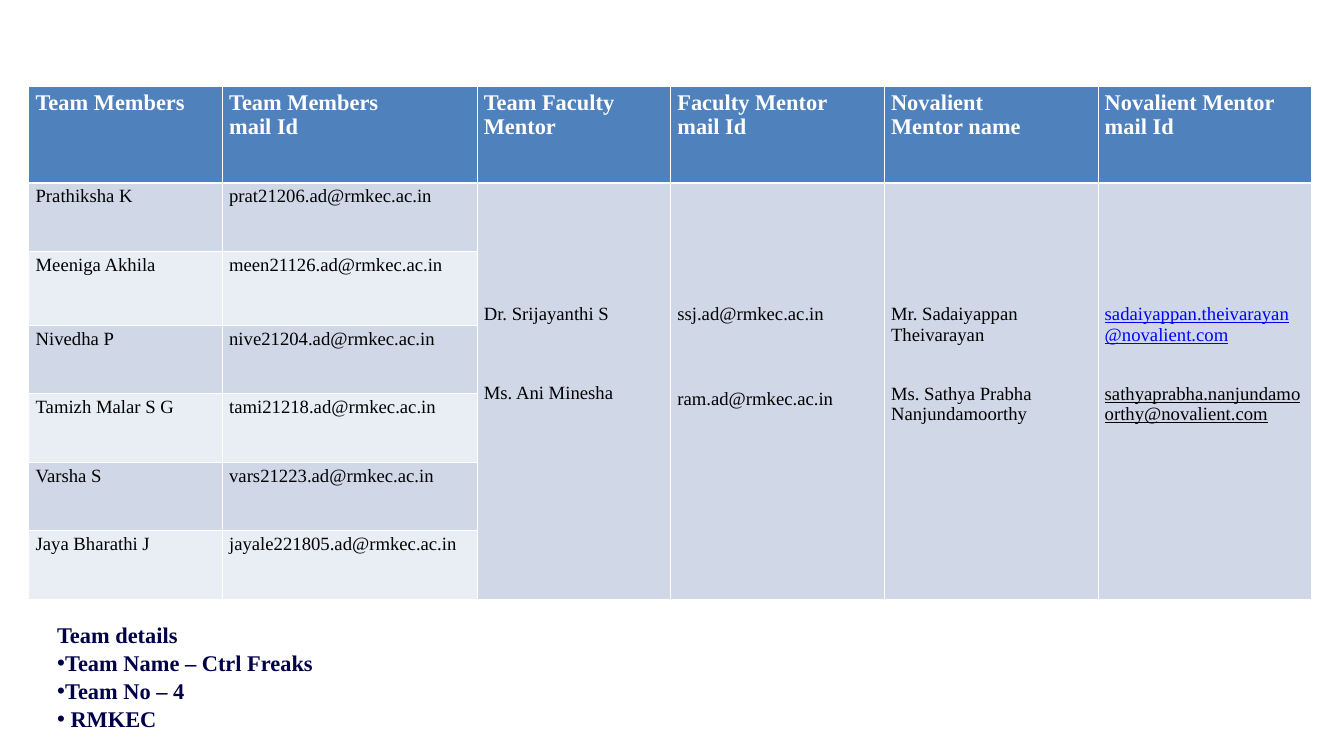
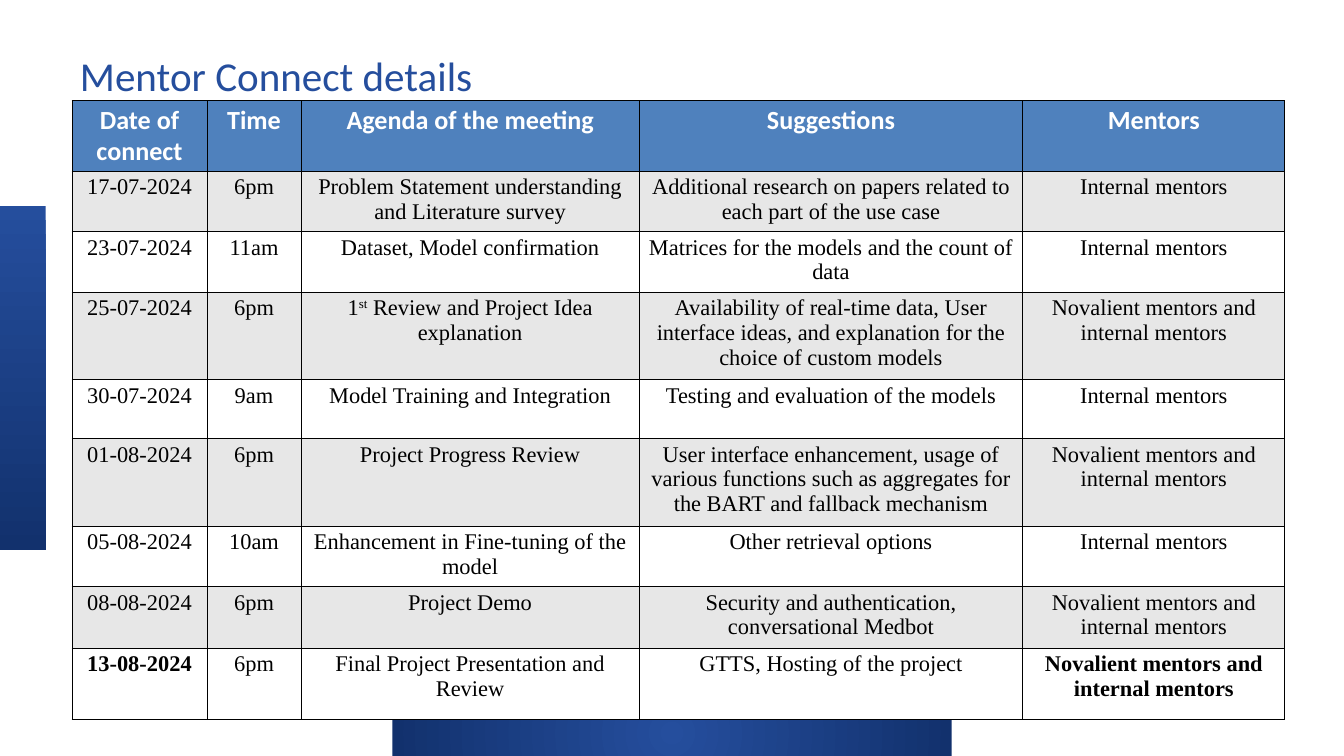
from dataclasses import dataclass, replace

from lxml.etree import SubElement
from pptx import Presentation
from pptx.dml.color import RGBColor
from pptx.enum.shapes import MSO_SHAPE
from pptx.enum.text import MSO_ANCHOR, MSO_AUTO_SIZE, PP_ALIGN
from pptx.oxml.ns import qn
from pptx.util import Inches, Pt


@dataclass(frozen=True)
class Look:
    face: str
    size: int
    ink: str
    bold: bool = False
    line: bool = False


@dataclass(frozen=True)
class Theme:
    white: str = "FFFFFF"
    black: str = "000000"
    head: str = "4F81BD"
    blue: str = "254E9D"
    deep: str = "12316D"
    team: tuple = ("D0D8E8", "E9EDF4")
    meet: tuple = ("E7E7E7", "FFFFFF")
    title: Look = Look("Calibri", 44, "254E9D")
    bullet: Look = Look("Times New Roman", 24, "000048", True)
    team_head: Look = Look("Times New Roman", 24, "FFFFFF", True)
    team_cell: Look = Look("Times New Roman", 20, "000000")
    link: Look = Look("Times New Roman", 20, "0000FF", line=True)
    meet_head: Look = Look("Calibri", 28, "FFFFFF", True)
    meet_cell: Look = Look("Times New Roman", 24, "000000")


TEAM_HEADS = [
    "Team Members", "Team Members\nmail Id", "Team Faculty\nMentor",
    "Faculty Mentor\nmail Id", "Novalient\nMentor name", "Novalient Mentor mail Id",
]
TEAM = [
    ("Prathiksha K", "prat21206.ad@rmkec.ac.in"),
    ("Meeniga Akhila", "meen21126.ad@rmkec.ac.in"),
    ("Nivedha P", "nive21204.ad@rmkec.ac.in"),
    ("Tamizh Malar S G", "tami21218.ad@rmkec.ac.in"),
    ("Varsha S", "vars21223.ad@rmkec.ac.in"),
    ("Jaya Bharathi J", "jayale221805.ad@rmkec.ac.in"),
]
GUIDES = [
    ("Dr. Srijayanthi S", "Ms. Ani Minesha", 62),
    ("ssj.ad@rmkec.ac.in", "ram.ad@rmkec.ac.in", 69),
    ("Mr. Sadaiyappan Theivarayan", "Ms. Sathya Prabha\nNanjundamoorthy", 41),
    ("sadaiyappan.theivarayan@novalient.com",
     "sathyaprabha.nanjundamoorthy@novalient.com", 41),
]
INNER = "Internal mentors"
BOTH = "Novalient mentors and internal mentors"
MEET_HEADS = ["Date of connect", "Time", "Agenda of the meeting", "Suggestions", "Mentors"]
MEETS = [
    ("17-07-2024", "6pm", "Problem Statement understanding and Literature survey",
     "Additional research on papers related to each part of the use case", INNER),
    ("23-07-2024", "11am", "Dataset, Model confirmation",
     "Matrices for the models and the count of data", INNER),
    ("25-07-2024", "6pm", "1^st^ Review and Project Idea explanation",
     "Availability of real-time data, User interface ideas, and explanation "
     "for the choice of custom models", BOTH),
    ("30-07-2024", "9am", "Model Training and Integration",
     "Testing and evaluation of the models", INNER),
    ("01-08-2024", "6pm", "Project Progress Review",
     "User interface enhancement, usage of various functions such as aggregates "
     "for the BART and fallback mechanism", BOTH),
    ("05-08-2024", "10am", "Enhancement in Fine-tuning of the model",
     "Other retrieval options", INNER),
    ("08-08-2024", "6pm", "Project Demo",
     "Security and authentication, conversational Medbot", BOTH),
    ("13-08-2024", "6pm", "Final Project Presentation and Review",
     "GTTS, Hosting of the project", BOTH),
]


class Deck:
    def __init__(self, theme):
        self.theme = theme
        self.file = Presentation()
        self.file.slide_width = Inches(20)
        self.file.slide_height = Inches(11.25)
        self.slide = None

    def start(self, layout):
        self.slide = self.file.slides.add_slide(self.file.slide_layouts[layout])

    def place(self, shape, box):
        shape.left, shape.top, shape.width, shape.height = map(Inches, box)

    def style(self, para, look, align=PP_ALIGN.LEFT):
        para.alignment = align
        font = para.font
        font.name, font.size, font.bold = look.face, Pt(look.size), look.bold
        font.color.rgb = RGBColor.from_string(look.ink)
        font.underline = look.line

    def put(self, para, text):
        for spot, part in enumerate(text.split("^")):
            run = para.add_run()
            run.text = part
            if spot % 2:
                run.font._element.set("baseline", "30000")

    def fill(self, frame, text, look, align=PP_ALIGN.LEFT):
        for spot, line in enumerate(text.split("\n")):
            para = frame.add_paragraph() if spot else frame.paragraphs[0]
            self.style(para, look, align)
            self.put(para, line)

    def title(self, text, box):
        shape = self.slide.shapes.title
        self.place(shape, box)
        frame = shape.text_frame
        frame.auto_size = MSO_AUTO_SIZE.NONE
        frame.vertical_anchor = MSO_ANCHOR.TOP
        frame.margin_left = frame.margin_right = frame.margin_top = frame.margin_bottom = 0
        frame.paragraphs[0].line_spacing = Pt(128.8)
        self.fill(frame, text, self.theme.title)

    def bullets(self, items, box):
        shape = self.slide.placeholders[1]
        self.place(shape, box)
        frame = shape.text_frame
        frame.auto_size = MSO_AUTO_SIZE.NONE
        for spot, (text, gap) in enumerate(items):
            para = frame.add_paragraph() if spot else frame.paragraphs[0]
            para.space_before = Pt(0)
            para.line_spacing = 1.05
            props = para._p.get_or_add_pPr()
            props.set("marL", str(Inches(gap)))
            props.set("indent", str(-Inches(gap)))
            if gap:
                SubElement(props, qn("a:buChar"), char="•")
            else:
                SubElement(props, qn("a:buNone"))
            self.style(para, self.theme.bullet)
            self.put(para, text)

    def edge(self, cell, ink, foot=1):
        props = cell._tc.get_or_add_tcPr()
        for side, width in (("L", 1), ("R", 1), ("T", 1), ("B", foot)):
            line = SubElement(props, qn(f"a:ln{side}"), w=str(Pt(width)))
            SubElement(SubElement(line, qn("a:solidFill")), qn("a:srgbClr"), val=ink)

    def paint(self, cell, ink):
        cell.fill.solid()
        cell.fill.fore_color.rgb = RGBColor.from_string(ink)

    def grid(self, heads, spot, cols, rows, look, fills, rule, foot=1, align=PP_ALIGN.LEFT):
        left, top = map(Inches, spot)
        table = self.slide.shapes.add_table(
            len(rows), len(cols), left, top, Inches(sum(cols)), Inches(sum(rows))).table
        table.first_row = table.horz_banding = False
        for col, width in zip(table.columns, cols):
            col.width = Inches(width)
        for index, (row, height) in enumerate(zip(table.rows, rows)):
            row.height = Inches(height)
            for cell in row.cells:
                self.edge(cell, rule, 1 if index else foot)
                self.paint(cell, fills[(index - 1) % 2] if index else self.theme.head)
        for col, text in enumerate(heads):
            self.fill(table.cell(0, col).text_frame, text, look, align)
        return table

    def band(self, box, glow=False):
        shape = self.slide.shapes.add_shape(MSO_SHAPE.RECTANGLE, *map(Inches, box))
        shape.shadow.inherit = False
        shape.line.fill.background()
        shape.fill.gradient()
        shape.fill.gradient_angle = 270
        for stop, ink in zip(shape.fill.gradient_stops, (self.theme.blue, self.theme.deep)):
            stop.color.rgb = RGBColor.from_string(ink)
        if glow:
            grad = shape._element.spPr.find(qn("a:gradFill"))
            grad.remove(grad.find(qn("a:lin")))
            ring = SubElement(grad, qn("a:path"), {"path": "circle"})
            SubElement(ring, qn("a:fillToRect"), dict.fromkeys("ltrb", "50000"))


def show_team(deck):
    theme = deck.theme
    deck.start(1)
    title = deck.slide.shapes.title._element
    title.getparent().remove(title)
    table = deck.grid(
        TEAM_HEADS, (0.43, 1.29), [2.88, 3.79, 2.88, 3.18, 3.18, 3.18],
        [1.43, 1.02, 1.1] + [1.02] * 4, theme.team_head, theme.team, theme.white, 3)
    for row, texts in enumerate(TEAM, 1):
        for col, text in enumerate(texts):
            deck.fill(table.cell(row, col).text_frame, text, theme.team_cell)
    for col, (first, second, gap) in enumerate(GUIDES, 2):
        cell = table.cell(1, col)
        cell.merge(table.cell(len(TEAM), col))
        cell.margin_top = Inches(1.8)
        deck.fill(cell.text_frame, f"{first}\n{second}", theme.team_cell)
        cell.text_frame.paragraphs[1].space_before = Pt(gap)
    mails = table.cell(1, 5).text_frame.paragraphs
    deck.style(mails[0], theme.link)
    deck.style(mails[1], replace(theme.link, ink=theme.black))
    deck.bullets([("Team details", 0), ("Team Name – Ctrl Freaks", 0.12),
                  ("Team No – 4", 0.12), ("RMKEC", 0.2)], (0.75, 9.17, 5, 2.08))


def show_meets(deck):
    theme = deck.theme
    deck.start(5)
    deck.band((0, 3.06, 0.68, 5.12))
    deck.band((5.84, 10.57, 8.32, 0.68), True)
    deck.title("Mentor Connect details", (1.19, -0.3, 16.58, 1.51))
    table = deck.grid(
        MEET_HEADS, (1.07, 1.5), [2.01, 1.4, 5.03, 5.71, 3.9],
        [1.04, 0.9, 0.9, 1.3, 0.88, 1.3, 0.9, 0.92, 1.05],
        theme.meet_head, theme.meet, theme.black, align=PP_ALIGN.CENTER)
    for row, texts in enumerate(MEETS, 1):
        for col, text in enumerate(texts):
            bold = row == len(MEETS) and col in (0, 4)
            deck.fill(table.cell(row, col).text_frame, text,
                      replace(theme.meet_cell, bold=bold), PP_ALIGN.CENTER)


def main():
    deck = Deck(Theme())
    show_team(deck)
    show_meets(deck)
    deck.file.save("out.pptx")


if __name__ == "__main__":
    main()
